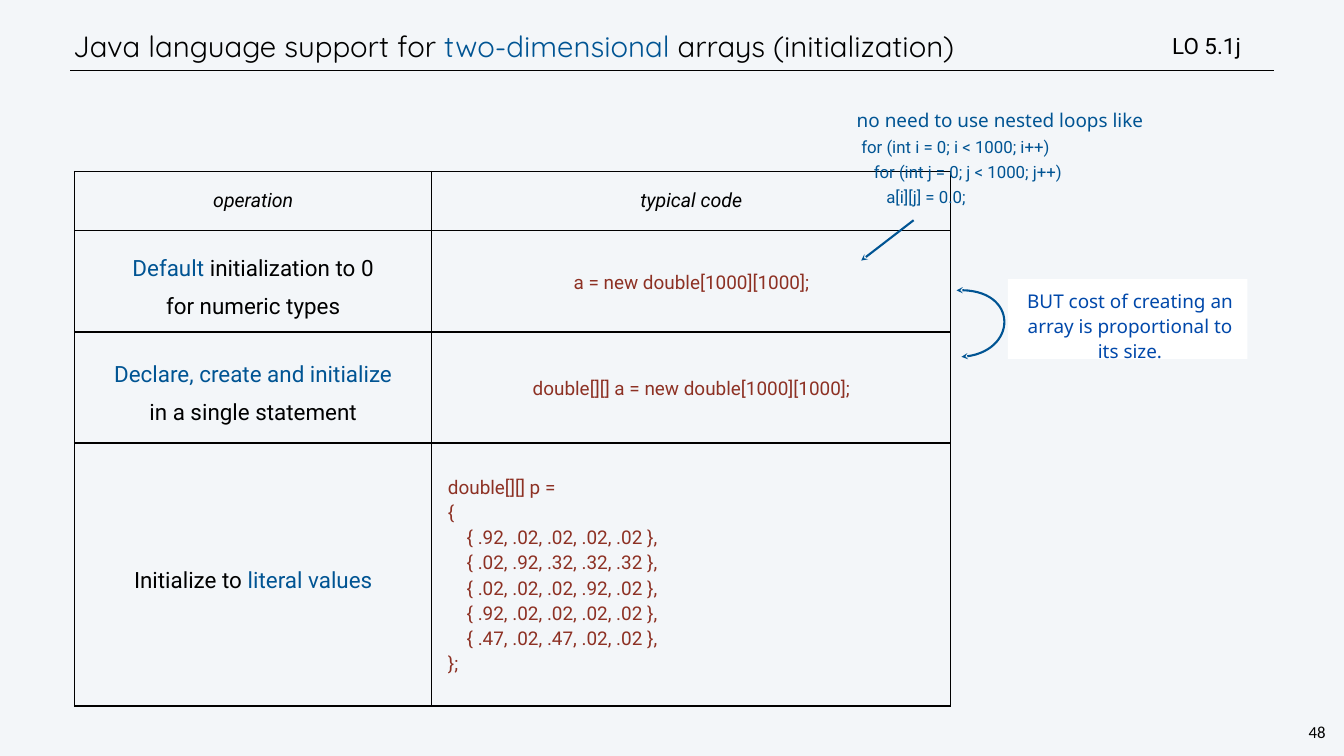
import pptx
import pptx.util
import pptx.dml.color
import pptx.enum.shapes
import pptx.enum.text
import pptx.oxml.ns
from lxml import etree

Pt, Inches = pptx.util.Pt, pptx.util.Inches
RGBColor = pptx.dml.color.RGBColor
KIND = pptx.enum.shapes.MSO_SHAPE
TOP, MID = pptx.enum.text.MSO_ANCHOR.TOP, pptx.enum.text.MSO_ANCHOR.MIDDLE
LEFT, MIDST = pptx.enum.text.PP_ALIGN.LEFT, pptx.enum.text.PP_ALIGN.CENTER
qn = pptx.oxml.ns.qn

PAPER = RGBColor(0xF3, 0xF6, 0xF9)
WHITE = RGBColor(0xFF, 0xFF, 0xFF)
BLACK = RGBColor(0x00, 0x00, 0x00)
BLUE = RGBColor(0x00, 0x54, 0x93)
ROYAL = RGBColor(0x00, 0x48, 0xAA)
RUST = RGBColor(0x8D, 0x31, 0x24)

deck = pptx.Presentation()
deck.slide_width, deck.slide_height = Inches(26.67), Inches(15)
slide = deck.slides.add_slide(deck.slide_layouts[6])
slide.background.fill.solid()
slide.background.fill.fore_color.rgb = PAPER
shapes = slide.shapes
UNIT = (deck.slide_width / 100, deck.slide_height / 100)


def at(*spans):
    """Turn x, y, x, y... in percent of the slide into lengths."""
    return [round(span * UNIT[i % 2]) for i, span in enumerate(spans)]


def write(frame, lines, align, indent=0):
    """Fill a frame with (font, size, line spacing, runs) paragraphs."""
    for i, (font, size, lead, runs) in enumerate(lines):
        par = frame.paragraphs[0] if i == 0 else frame.add_paragraph()
        par.alignment, par.line_spacing = align, lead
        par._p.get_or_add_pPr().set("marL", str(Inches(indent)))
        par._p.get_or_add_pPr().set("indent", "0")
        for text, tint in runs:
            if text == "\n":
                par.add_line_break()
                continue
            run = par.add_run()
            run.text = text
            run.font.name, run.font.size = font, Pt(size)
            run.font.color.rgb = tint


# Table: operation beside typical code
COLS = (26.58, 38.62)
ROWS = (7.87, 13.2, 14.67, 34.8)
HEADS = ("operation", "typical code")
NAMES = (
    [("Default", BLUE), (" initialization to 0", BLACK), ("\n", BLACK),
     ("for numeric types", BLACK)],
    [("Declare, create and initialize", BLUE), ("\n", BLUE),
     ("in a single statement", BLACK)],
    [("Initialize to ", BLACK), ("literal values", BLUE)],
)
CODES = (
    ["a = new double[1000][1000];"],
    ["double[][] a = new double[1000][1000];"],
    ["double[][] p =",
     "{",
     "    { .92, .02, .02, .02, .02 },",
     "    { .02, .92, .32, .32, .32 },",
     "    { .02, .02, .02, .92, .02 },",
     "    { .92, .02, .02, .02, .02 },",
     "    { .47, .02, .47, .02, .02 },",
     "};"],
)
table = shapes.add_table(
    len(ROWS), len(COLS), *at(5.55, 22.67, sum(COLS), sum(ROWS))).table
table.first_row = table.horz_banding = False
for col, wide in zip(table.columns, COLS):
    col.width = at(wide)[0]
for row, high in zip(table.rows, ROWS):
    row.height = at(0, high)[1]

for r in range(len(ROWS)):
    for c in range(len(COLS)):
        cell = table.cell(r, c)
        cell.vertical_anchor = MID
        cell.fill.background()
        pad = Inches(0.24 if r and not c else 0.04)
        cell.margin_left = cell.margin_right = pad
        cell.margin_top = cell.margin_bottom = pad
        align, indent = MIDST, 0
        if r == 0:
            lines = [("Roboto", 28, Pt(33), [(HEADS[c], BLACK)])]
        elif c == 0:
            lines = [("Roboto", 32, Pt(55), NAMES[r - 1])]
        else:
            lines = [("Roboto", 27, Pt(36), [(code, RUST)])
                     for code in CODES[r - 1]]
            if len(lines) > 1:
                align, indent = LEFT, 0.28
        write(cell.text_frame, lines, align, indent)
        if r == 0:
            cell.text_frame.paragraphs[0].runs[0].font.italic = True
        props = cell._tc.get_or_add_tcPr()
        for i, side in enumerate(("lnL", "lnR", "lnT", "lnB")):
            edge = etree.Element(qn("a:" + side), w=str(Pt(2)))
            fill = etree.SubElement(edge, qn("a:solidFill"))
            etree.SubElement(fill, qn("a:srgbClr"), val=str(BLACK))
            props.insert(i, edge)

# Text around the table: place, fill, inset, anchor, align, wrap, lines
BOXES = (
    ((5.21, 2.8, 84.82, 6.6), None, 0.06, MID, LEFT, True,
     [("Quicksand", 42, Pt(50), [("Java language support for ", BLACK),
                                 ("two-dimensional", BLUE),
                                 (" arrays (initialization)", BLACK)])]),
    ((97.19, 95.27, 1.61, 3.13), None, 0.04, TOP, MIDST, False,
     [("Calibri", 24, Pt(28), [("48", BLACK)])]),
    ((75, 36.93, 17.81, 10.53), WHITE, 0.17, TOP, MIDST, True,
     [("Noto Sans", 27, 1.1,
       [("BUT cost of creating an array is proportional to its size.",
         ROYAL)])]),
    ((62.77, 12.93, 28.83, 14.93), None, 0.17, TOP, LEFT, True,
     [("Noto Sans", 27, 1.1, [("no need to use nested loops like", BLUE)])]
     + [("Roboto", 24, Pt(36), [(code, BLUE)]) for code in (
         "for (int i = 0; i < 1000; i++)",
         "   for (int j = 0; j < 1000; j++)",
         "      a[i][j] = 0.0;")]),
    ((86.99, 3.87, 11.21, 4.33), None, 0.06, MID, LEFT, True,
     [("Roboto", 32, 1.0, [("LO 5.1j", BLACK)])]),
)
for place, fill, pad, anchor, align, wrap, lines in BOXES:
    if fill is None:
        box = shapes.add_textbox(*at(*place))
    else:
        box = shapes.add_shape(KIND.RECTANGLE, *at(*place))
        box.shadow.inherit = False
        box.fill.solid()
        box.fill.fore_color.rgb = fill
        box.line.fill.background()
    frame = box.text_frame
    frame.word_wrap, frame.vertical_anchor = wrap, anchor
    frame.margin_left = frame.margin_right = Inches(pad)
    frame.margin_top = frame.margin_bottom = Inches(pad)
    write(frame, lines, align, 0.09 if pad == 0.17 else 0)
    for par in frame.paragraphs[1:]:
        par._p.get_or_add_pPr().set("marL", str(Inches(0.18)))

# Rule, arrow, and a cubic curve that joins two table rows
STEPS = 32
BEND = (at(71.17, 38.4), at(75.93, 38), at(75.78, 46.8), at(71.54, 47.2))
dots = []
for step in range(STEPS + 1):
    t = step / STEPS
    mix = ((1 - t) ** 3, 3 * t * (1 - t) ** 2, 3 * t * t * (1 - t), t ** 3)
    dots.append([round(sum(m * p[i] for m, p in zip(mix, BEND)))
                 for i in (0, 1)])
path = shapes.build_freeform(*dots[0])
path.add_line_segments(dots[1:], close=False)
curve = path.convert_to_shape()
curve.fill.background()

LINE = pptx.enum.shapes.MSO_CONNECTOR.STRAIGHT
rule = shapes.add_connector(LINE, *at(5.21, 9.33, 94.79, 9.33))
arrow = shapes.add_connector(LINE, *at(67.98, 29.13, 64.08, 34.47))
for item, tint, wide, ends in (
        (rule, BLACK, 1, ()),
        (arrow, BLUE, 3, ("a:tailEnd",)),
        (curve, BLUE, 3, ("a:headEnd", "a:tailEnd"))):
    item.line.color.rgb, item.line.width = tint, Pt(wide)
    for end in ends:
        etree.SubElement(item.line._get_or_add_ln(), qn(end), type="stealth")
    etree.SubElement(item._element.spPr, qn("a:effectLst"))

deck.save("out.pptx")
